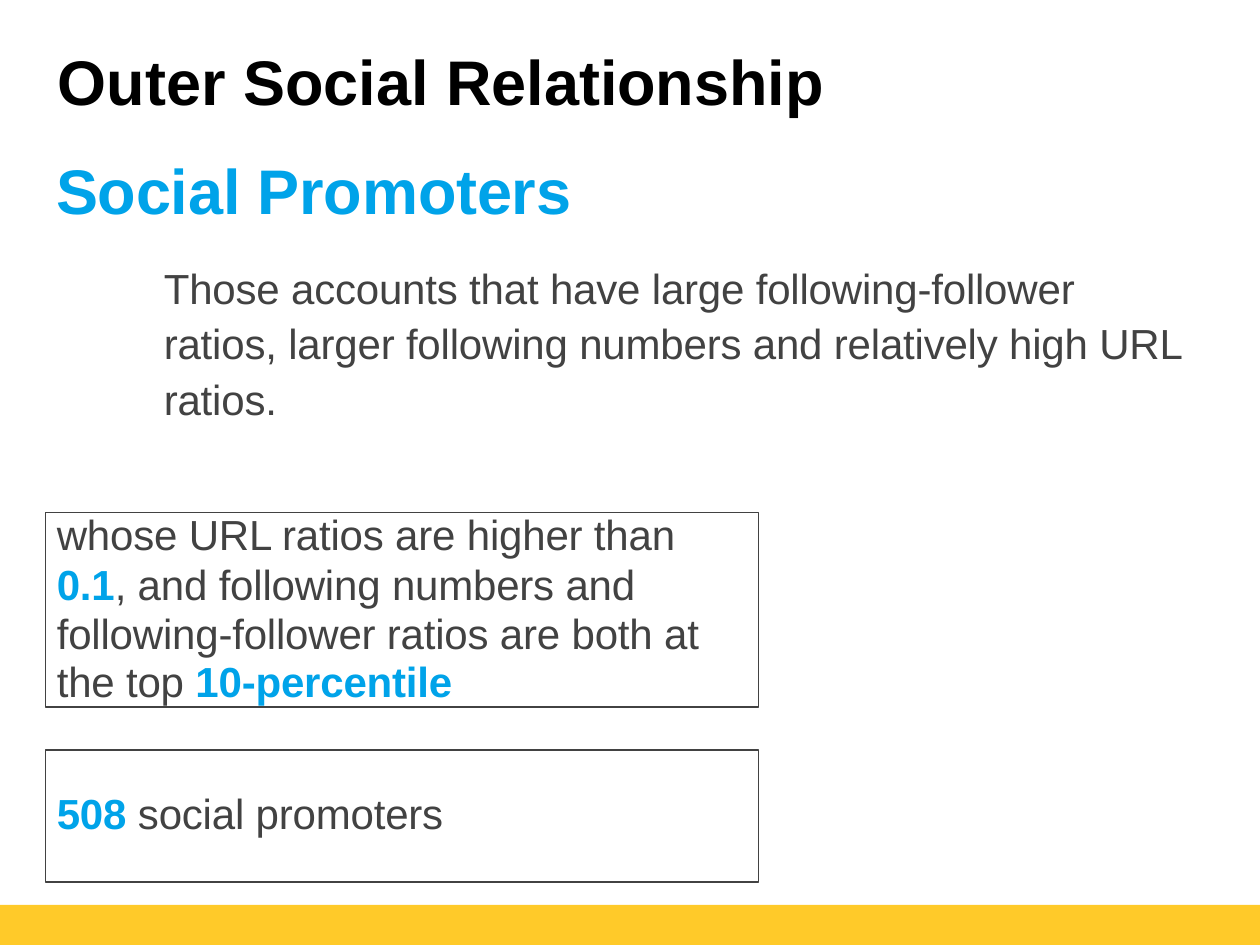
from dataclasses import dataclass

from pptx import Presentation
from pptx.dml.color import RGBColor as RGB
from pptx.enum.shapes import MSO_SHAPE as SHAPE
from pptx.enum.text import MSO_ANCHOR as ANCHOR, PP_ALIGN as ALIGN
from pptx.util import Pt


@dataclass(frozen=True)
class Theme:
    font: str = "Arial"
    heading_size: int = 36
    body_size: int = 24
    black: RGB = RGB(0, 0, 0)
    grey: RGB = RGB(0x42, 0x42, 0x42)
    blue: RGB = RGB(0x00, 0xA3, 0xE9)
    yellow: RGB = RGB(0xFF, 0xCA, 0x29)


THEME = Theme()
LEFT_INDENT = 6.5
FACT_LEFT, FACT_WIDTH = 26, 407.5


def prepare_frame(shape, top_inset=0, anchor=ANCHOR.TOP):
    frame = shape.text_frame
    frame.word_wrap = True
    frame.margin_left = frame.margin_right = frame.margin_bottom = 0
    frame.margin_top = Pt(top_inset)
    frame.vertical_anchor = anchor
    return frame


def add_text_box(slide, left, top, width, height, **frame_options):
    box = slide.shapes.add_textbox(Pt(left), Pt(top), Pt(width), Pt(height))
    return prepare_frame(box, **frame_options)


def add_rectangle(slide, left, top, width, height, fill=None, line=None):
    rectangle = slide.shapes.add_shape(
        SHAPE.RECTANGLE, Pt(left), Pt(top), Pt(width), Pt(height))
    rectangle.shadow.inherit = False
    if fill is None:
        rectangle.fill.background()
    else:
        rectangle.fill.solid()
        rectangle.fill.fore_color.rgb = fill
    if line is None:
        rectangle.line.fill.background()
    else:
        rectangle.line.color.rgb = line
        rectangle.line.width = Pt(0.75)
    return rectangle


def add_fact_box(slide, top, height, top_inset=0):
    box = add_rectangle(slide, FACT_LEFT, top, FACT_WIDTH, height, line=THEME.grey)
    return prepare_frame(box, top_inset)


def write(paragraph, *parts, size=THEME.body_size, indent=0, spacing=None,
          before=0, tracking=-0.1):
    """Fill a paragraph with (text, colour, bold) parts; lengths in points."""
    paragraph.alignment = ALIGN.LEFT
    paragraph.space_before = Pt(before)
    if spacing is not None:
        paragraph.line_spacing = spacing
    properties = paragraph._p.get_or_add_pPr()
    properties.set("marL", str(Pt(indent)))
    properties.set("indent", "0")
    for text, colour, bold in parts:
        run = paragraph.add_run()
        run.text = text
        run.font.name = THEME.font
        run.font.size = Pt(size)
        run.font.bold = bold
        run.font.color.rgb = colour
        run._r.get_or_add_rPr().set("spc", str(round(tracking * 100)))


def plain(text):
    return text, THEME.grey, False


def key(text):
    return text, THEME.blue, True


def add_definition(slide):
    definition = add_text_box(slide, 31, 85.7, 651.6, 157.7, top_inset=1)
    write(definition.paragraphs[0], key("Social Promoters"),
          size=THEME.heading_size, indent=1)
    write(definition.add_paragraph(),
          plain("Those accounts that have large following-follower ratios, "
                "larger following numbers and relatively high URL ratios."),
          indent=62.6, spacing=1.1, before=17.1)


def add_criteria(slide):
    criteria = add_fact_box(slide, 293, 111)
    write(criteria.paragraphs[0], plain("whose URL ratios are higher than"),
          indent=LEFT_INDENT, spacing=Pt(26.2))
    write(criteria.add_paragraph(), key("0.1"),
          plain(", and following numbers and following-follower ratios "
                "are both at the top "),
          key("10-percentile"),
          indent=LEFT_INDENT, spacing=Pt(27.6), before=1.3)


def main():
    deck = Presentation()
    deck.slide_width, deck.slide_height = Pt(720), Pt(540)
    slide = deck.slides.add_slide(deck.slide_layouts[6])

    add_rectangle(slide, 0, 517, 720, 23, fill=THEME.yellow)
    title = add_text_box(slide, 33.1, 13.7, 620.6, 64.8, anchor=ANCHOR.MIDDLE)
    write(title.paragraphs[0], ("Outer Social Relationship", THEME.black, True),
          size=THEME.heading_size, tracking=0)
    add_definition(slide)
    add_criteria(slide)
    count = add_fact_box(slide, 428.5, 75.5, top_inset=21.6)
    write(count.paragraphs[0], key("508 "), plain("social promoters"),
          indent=LEFT_INDENT)

    deck.save("out.pptx")


if __name__ == "__main__":
    main()
